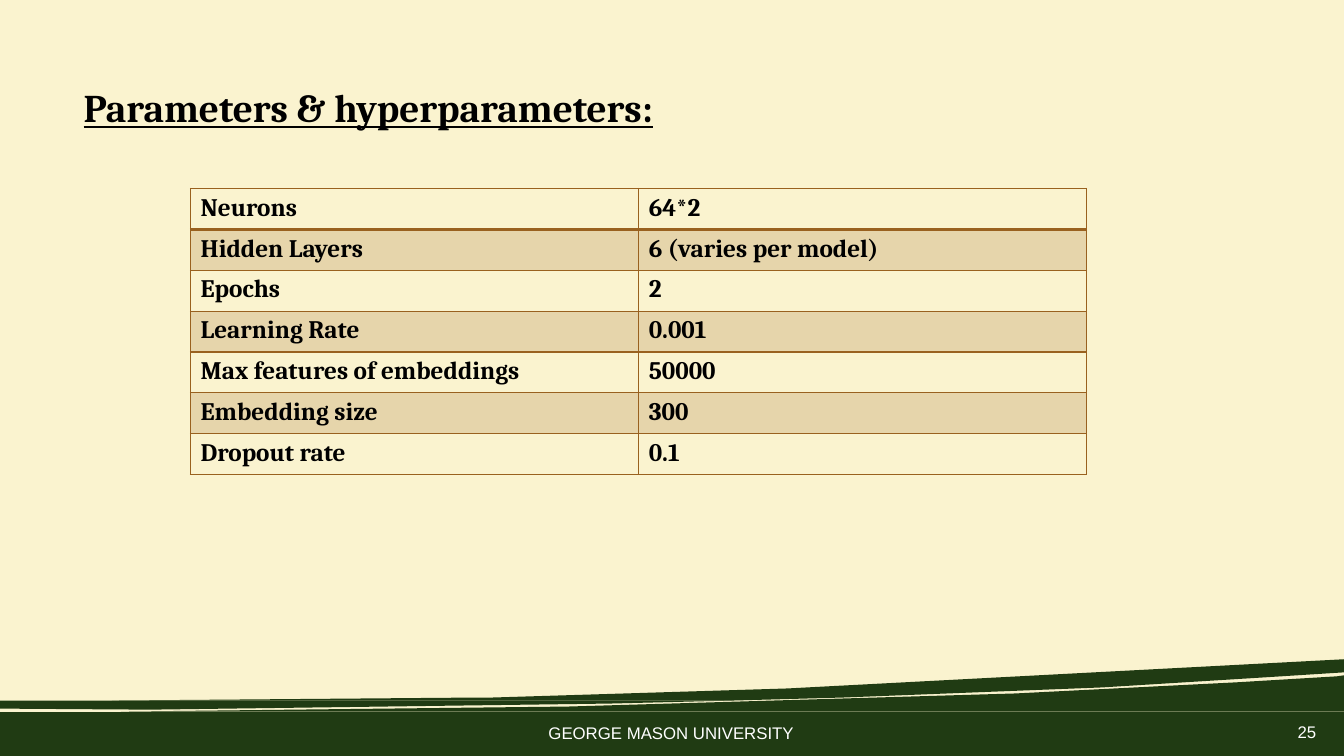
from dataclasses import dataclass

from lxml.etree import SubElement
from pptx import Presentation
from pptx.dml.color import RGBColor as Rgb
from pptx.oxml.ns import qn
from pptx.slide import Slide
from pptx.table import _Cell as Cell
from pptx.util import Inches, Pt


@dataclass(frozen=True)
class Theme:
    page: str = "FAF3CF"
    green: str = "203B13"
    brown: str = "99611F"
    ink: str = "000000"
    white: str = "FFFFFF"
    serif: str = "Cambria"
    sans: str = "Arial"
    head: int = 28
    body: int = 18
    foot: int = 12
    tint: int = 20


@dataclass(frozen=True)
class Label:
    text: str
    left: float
    top: float
    width: float
    height: float
    font: str
    size: int
    color: str
    strong: bool = False
    pitch: int | None = None
    wrap: bool = True


Points = list[tuple[float, float]]
THEME = Theme()
WIDE, HIGH = 13.33, 7.5

WAVES: list[Points] = [
    [(0, 7.06), (0, HIGH), (WIDE, HIGH), (WIDE, 7.06)],
    [(WIDE, 6.7), (13.26, 6.71), (12.26, 6.77), (10.07, 6.88), (5.63, 7.01),
     (1.2, 7.06), (WIDE, 7.06)],
    [(0, 6.95), (0, 7.03), (1.49, 7.04), (6.04, 6.98), (7.26, 6.95)],
    [(WIDE, 6.54), (7.81, 6.83), (4.89, 6.92), (4.77, 6.92), (1.11, 6.95),
     (7.26, 6.95), (8.37, 6.92), (10.93, 6.82), (12.54, 6.72), (WIDE, 6.67)],
]

LABELS = [
    Label("Parameters & hyperparameters:", 0.83, 0.83, 12.5, 0.74,
          THEME.serif, THEME.head, THEME.ink, strong=True),
    Label("GEORGE MASON UNIVERSITY", 5.44, 7.19, 2.47, 0.18,
          THEME.sans, THEME.foot, THEME.white, pitch=13),
    Label("25", 12.87, 7.18, 0.29, 0.18,
          THEME.sans, THEME.foot, THEME.white, pitch=13, wrap=False),
]

ROWS = [
    ("Neurons", "64*2"),
    ("Hidden Layers", "6 (varies per model)"),
    ("Epochs", "2"),
    ("Learning Rate", "0.001"),
    ("Max features of embeddings", "50000"),
    ("Embedding size", "300"),
    ("Dropout rate", "0.1"),
]


def draw_wave(slide: Slide, points: Points) -> None:
    spots = [(Inches(x), Inches(y)) for x, y in points]
    pen = slide.shapes.build_freeform(*spots[0])
    pen.add_line_segments(spots[1:])
    wave = pen.convert_to_shape()
    wave.shadow.inherit = False
    wave.fill.solid()
    wave.fill.fore_color.rgb = Rgb.from_string(THEME.green)
    wave.line.fill.background()


def draw_label(slide: Slide, label: Label) -> None:
    box = slide.shapes.add_textbox(Inches(label.left), Inches(label.top),
                                   Inches(label.width), Inches(label.height))
    frame = box.text_frame
    frame.word_wrap = label.wrap
    frame.margin_left = frame.margin_right = 0
    frame.margin_top = frame.margin_bottom = 0
    line = frame.paragraphs[0]
    line.text = label.text
    if label.pitch:
        line.line_spacing = Pt(label.pitch)
    font = line.font
    font.name, font.size = label.font, Pt(label.size)
    font.bold = font.underline = label.strong
    font.color.rgb = Rgb.from_string(label.color)


def add_rules(cell: Cell, first: bool, second: bool) -> None:
    """Border the cell, with a heavier line between the first two rows."""
    props = cell._tc.get_or_add_tcPr()
    sides = {"L": 1, "R": 1, "T": 2 if second else 1, "B": 2 if first else 1}
    for side, width in sides.items():
        line = SubElement(props, qn(f"a:ln{side}"), w=str(Pt(width)))
        fill = SubElement(line, qn("a:solidFill"))
        SubElement(fill, qn("a:srgbClr"), val=THEME.brown)


def fill_cell(cell: Cell, tinted: bool) -> None:
    if not tinted:
        cell.fill.background()
        return
    cell.fill.solid()
    cell.fill.fore_color.rgb = Rgb.from_string(THEME.brown)
    color = cell._tc.tcPr.find(f"{qn('a:solidFill')}/{qn('a:srgbClr')}")
    SubElement(color, qn("a:alpha"), val=str(THEME.tint * 1000))


def draw_table(slide: Slide) -> None:
    count = len(ROWS)
    frame = slide.shapes.add_table(count, 2, Inches(1.89), Inches(1.87),
                                   Inches(8.89), Inches(2.84))
    table = frame.table
    table.first_row = table.horz_banding = False
    for i, texts in enumerate(ROWS):
        for j, text in enumerate(texts):
            cell = table.cell(i, j)
            cell.text = text
            font = cell.text_frame.paragraphs[0].font
            font.name, font.size, font.bold = THEME.serif, Pt(THEME.body), True
            font.color.rgb = Rgb.from_string(THEME.ink)
            add_rules(cell, i == 0, i == 1)
            fill_cell(cell, i % 2 == 1)


def main() -> None:
    deck = Presentation()
    deck.slide_width, deck.slide_height = Inches(WIDE), Inches(HIGH)
    slide = deck.slides.add_slide(deck.slide_layouts[6])
    slide.background.fill.solid()
    slide.background.fill.fore_color.rgb = Rgb.from_string(THEME.page)
    for wave in WAVES:
        draw_wave(slide, wave)
    for label in LABELS:
        draw_label(slide, label)
    draw_table(slide)
    deck.save("out.pptx")


if __name__ == "__main__":
    main()
